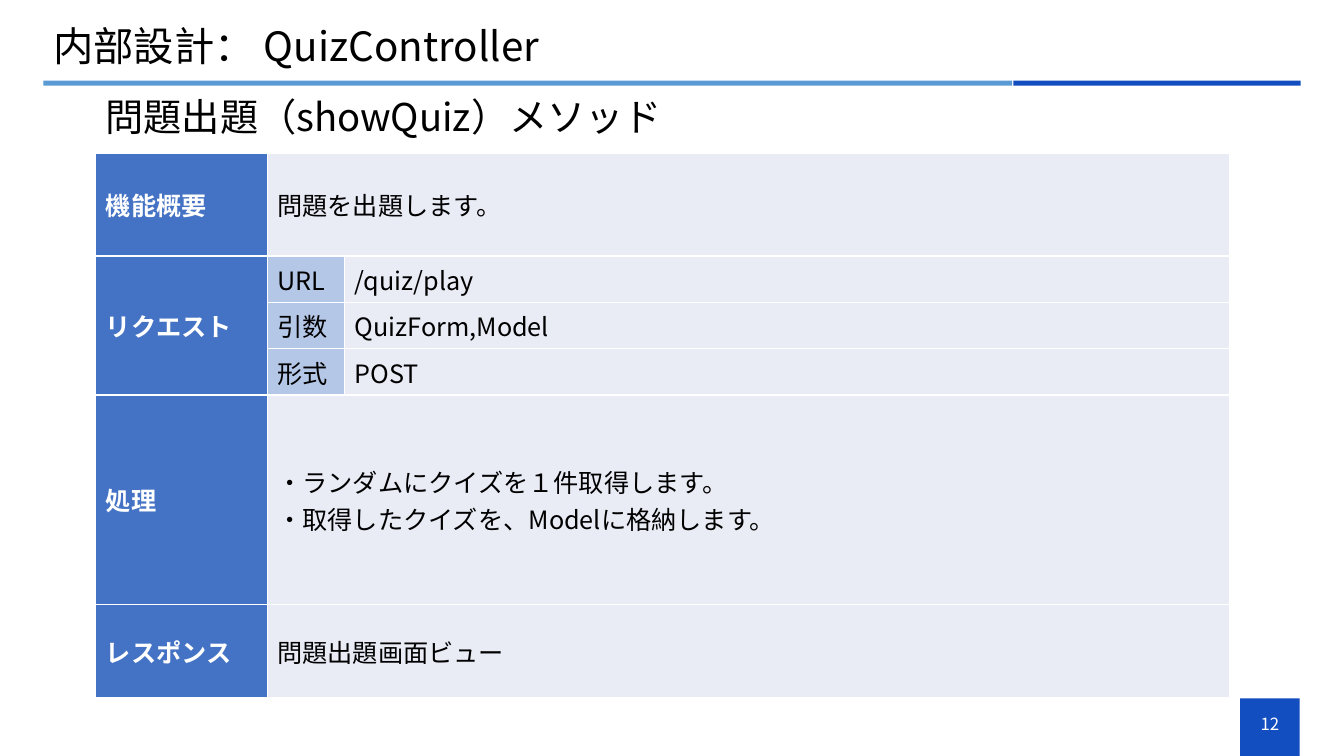
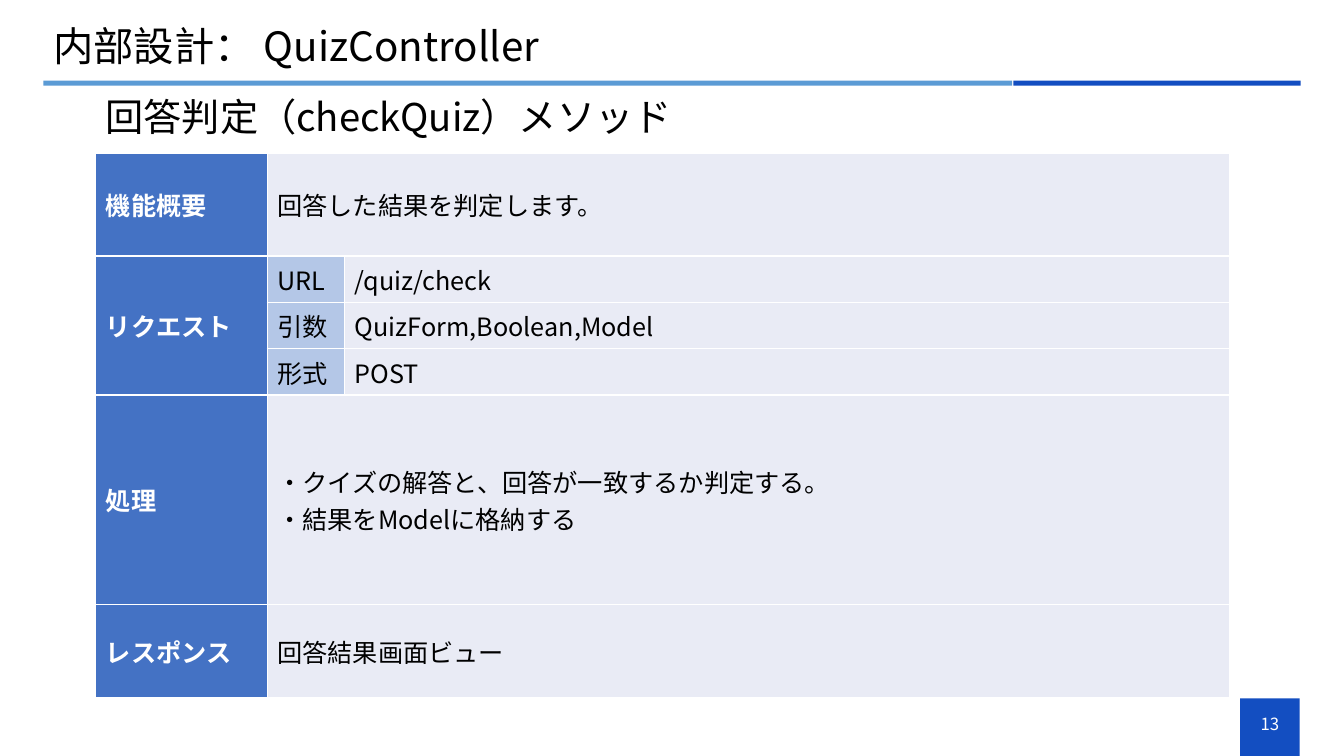
from dataclasses import dataclass

import pptx
import pptx.dml.color
import pptx.enum.shapes
import pptx.enum.text
import pptx.oxml
import pptx.oxml.ns
import pptx.util

Inches = pptx.util.Inches
Pt = pptx.util.Pt
ALIGN = pptx.enum.text.PP_ALIGN
MIDDLE = pptx.enum.text.MSO_ANCHOR.MIDDLE


@dataclass(frozen=True)
class Theme:
    font: str = "Noto Sans CJK JP"
    accent: str = "134EC1"
    rule: str = "5B9BD5"
    header: str = "4472C4"
    label: str = "B4C7E7"
    body: str = "E9EBF5"
    ink: str = "000000"
    paper: str = "FFFFFF"
    title_size: float = 28.8
    subtitle_size: float = 27.3
    table_size: float = 18
    number_size: float = 12
    border_width: float = 1


def colour(value):
    return pptx.dml.color.RGBColor.from_string(value)


def apply(target, values):
    for name, value in values.items():
        setattr(target, name, value)


class SlideBuilder:
    def __init__(self, deck, theme):
        self.deck = deck
        self.theme = theme
        self.slide = None

    def new_slide(self):
        self.slide = self.deck.slides.add_slide(self.deck.slide_layouts[6])

    def fill_text(self, frame, lines, size, ink, bold=False, **paragraph_format):
        for index, line in enumerate(lines):
            para = frame.paragraphs[0] if index == 0 else frame.add_paragraph()
            apply(para, paragraph_format)
            span = para.add_run()
            span.text = line
            apply(span.font, {"name": self.theme.font, "size": Pt(size), "bold": bold})
            span.font.color.rgb = colour(ink)
            east_asian = pptx.oxml.parse_xml(
                f'<a:ea {pptx.oxml.ns.nsdecls("a")} typeface="{self.theme.font}"/>'
            )
            span.font._element.find(pptx.oxml.ns.qn("a:latin")).addnext(east_asian)

    def band(self, left, top, width, height, fill):
        shape = self.slide.shapes.add_shape(
            pptx.enum.shapes.MSO_SHAPE.RECTANGLE, *map(Inches, (left, top, width, height))
        )
        shape.shadow.inherit = False
        shape.fill.solid()
        shape.fill.fore_color.rgb = colour(fill)
        shape.line.fill.background()

    def text(self, left, top, width, height, line, size, ink, **paragraph_format):
        box = self.slide.shapes.add_textbox(*map(Inches, (left, top, width, height)))
        apply(box.text_frame, {"word_wrap": True, "vertical_anchor": MIDDLE})
        self.fill_text(box.text_frame, [line], size, ink, **paragraph_format)

    def frame(self, title, subtitle, number):
        theme = self.theme
        self.band(12.3, 6.93, 0.59, 0.57, theme.accent)
        self.band(0.43, 0.8, 9.61, 0.05, theme.rule)
        self.band(10.05, 0.8, 2.85, 0.05, theme.accent)
        self.text(0.43, 0.21, 12.46, 0.55, title, theme.title_size, theme.ink, line_spacing=0.9)
        self.text(0.95, 0.91, 11.95, 0.55, subtitle, theme.subtitle_size, theme.ink, line_spacing=0.9)
        self.text(12.3, 6.98, 0.59, 0.4, str(number), theme.number_size, theme.paper,
                  alignment=ALIGN.CENTER)

    def style_cell(self, cell, fill):
        properties = cell._tc.get_or_add_tcPr()
        for side in ("lnL", "lnR", "lnT", "lnB"):
            properties.append(pptx.oxml.parse_xml(
                f'<a:{side} {pptx.oxml.ns.nsdecls("a")} w="{Pt(self.theme.border_width)}">'
                f'<a:solidFill><a:srgbClr val="{self.theme.paper}"/></a:solidFill></a:{side}>'
            ))
        cell.fill.solid()
        cell.fill.fore_color.rgb = colour(fill)
        cell.vertical_anchor = MIDDLE

    def table(self, left, top, widths, heights, rows, merges):
        theme = self.theme
        table = self.slide.shapes.add_table(
            len(heights), len(widths),
            *map(Inches, (left, top, sum(widths), sum(heights))),
        ).table
        apply(table, {"first_row": False, "horz_banding": False})
        for column, width in zip(table.columns, widths):
            column.width = Inches(width)
        for row, height in zip(table.rows, heights):
            row.height = Inches(height)
        for first, last in merges:
            table.cell(*first).merge(table.cell(*last))
        for row_index, values in enumerate(rows):
            for column_index, value in enumerate(values):
                cell = table.cell(row_index, column_index)
                is_header = column_index == 0
                is_label = column_index == 1 and not cell.is_merge_origin
                fill = theme.header if is_header else theme.label if is_label else theme.body
                self.style_cell(cell, fill)
                if value:
                    ink = theme.paper if is_header else theme.ink
                    self.fill_text(cell.text_frame, value.split("\n"), theme.table_size, ink, is_header)

    def method_table(self, summary, url, arguments, verb, steps, response):
        rows = [
            ("機能概要", summary, ""),
            ("リクエスト", "URL", url),
            ("", "引数", arguments),
            ("", "形式", verb),
            ("処理", "\n".join(steps), ""),
            ("レスポンス", response, ""),
        ]
        merges = [((row, 1), (row, 2)) for row in (0, 4, 5)] + [((1, 0), (3, 0))]
        heights = [1.02] + [0.46] * 3 + [2.08, 0.92]
        self.table(0.95, 1.52, [1.7, 0.77, 8.78], heights, rows, merges)


METHODS = [
    ("問題出題（showQuiz）メソッド", {
        "summary": "問題を出題します。",
        "url": "/quiz/play",
        "arguments": "QuizForm,Model",
        "verb": "POST",
        "steps": ["・ランダムにクイズを１件取得します。", "・取得したクイズを、Modelに格納します。"],
        "response": "問題出題画面ビュー",
    }),
    ("回答判定（checkQuiz）メソッド", {
        "summary": "回答した結果を判定します。",
        "url": "/quiz/check",
        "arguments": "QuizForm,Boolean,Model",
        "verb": "POST",
        "steps": ["・クイズの解答と、回答が一致するか判定する。", "・結果をModelに格納する"],
        "response": "回答結果画面ビュー",
    }),
]


def main():
    deck = pptx.Presentation()
    apply(deck, {"slide_width": Inches(13.33), "slide_height": Inches(7.5)})
    builder = SlideBuilder(deck, Theme())
    for number, (subtitle, details) in enumerate(METHODS, start=12):
        builder.new_slide()
        builder.frame("内部設計： QuizController", subtitle, number)
        builder.method_table(**details)
    deck.save("out.pptx")


if __name__ == "__main__":
    main()
